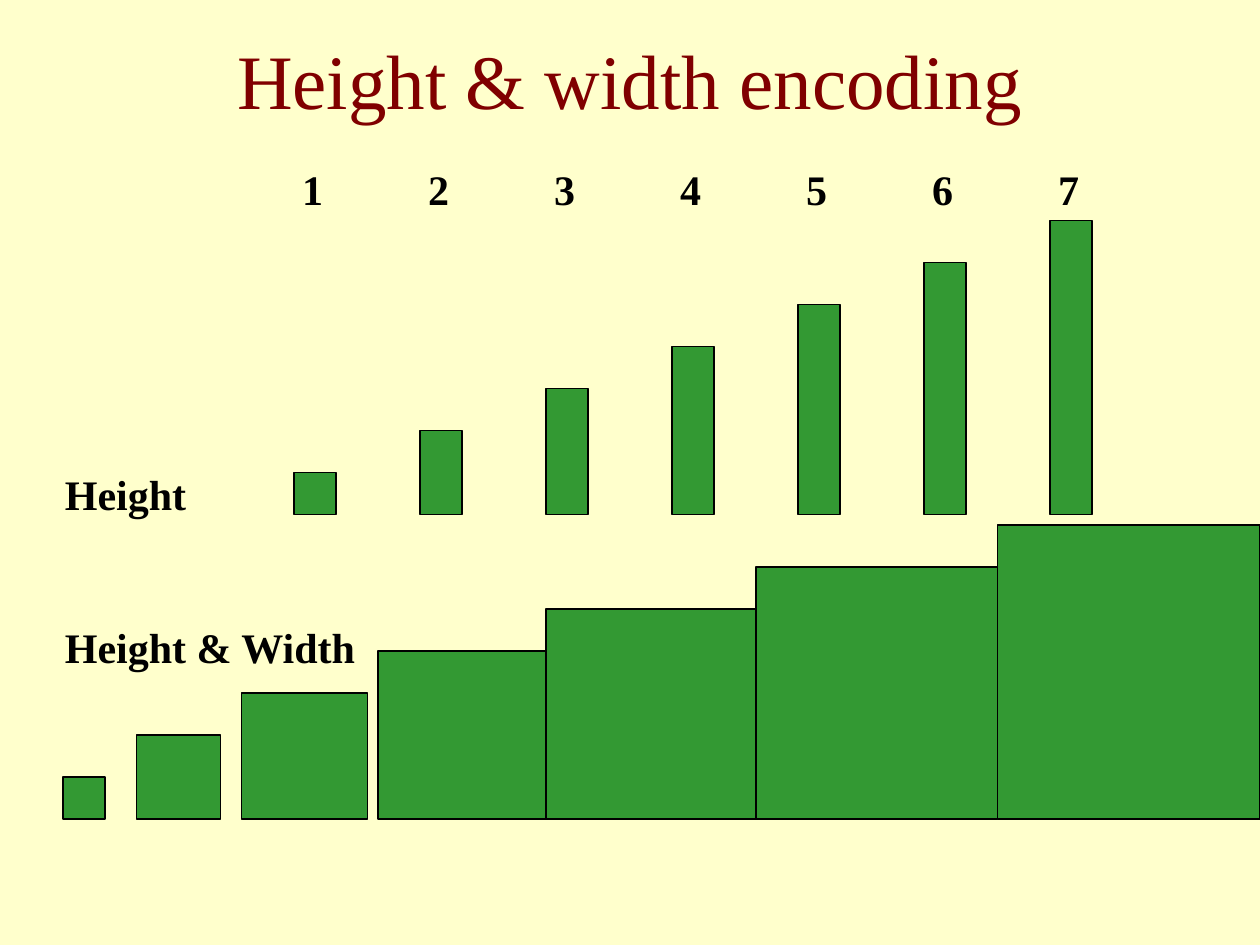
import pptx
import pptx.util
import pptx.dml.color
import pptx.enum.shapes
import pptx.enum.text
import lxml.etree
from pptx.oxml.ns import qn

Pt = pptx.util.Pt
ALIGN = pptx.enum.text.PP_ALIGN
ANCHOR = pptx.enum.text.MSO_ANCHOR

# Content
TITLE = "Height & width encoding"
VALUES = [1, 2, 3, 4, 5, 6, 7]
ROW_LABELS = ["Height", "Height & Width"]

COLORS = {"background": "FFFFCC", "title": "800000", "text": "000000",
          "bar": "339933", "outline": "000000"}
TITLE_FONT = {"name": "Times New Roman", "size": Pt(44), "bold": False}
LABEL_FONT = {"name": "Times New Roman", "size": Pt(24), "bold": True}

# Layout, in points
SLIDE_WIDTH, SLIDE_HEIGHT = 720, 540
UNIT = 24                     # length that stands for the value 1
COLUMN_LEFT, COLUMN_STEP = 168, 72
HEIGHT_BASE, AREA_BASE = 294, 468
AREA_LEFTS = [36, 78, 138, 216, 312, 432, 570]
ROW_LABEL_GAP = 58.7


def rgb(key):
    return pptx.dml.color.RGBColor.from_string(COLORS[key])


def add_text(slide, box, lines, font, color, frame_format, align=ALIGN.LEFT,
             gap=0, tab_stops=()):
    frame = slide.shapes.add_textbox(*map(Pt, box)).text_frame
    for name, value in frame_format.items():
        setattr(frame, name, value)
    for index, line in enumerate(lines):
        paragraph = frame.add_paragraph() if index else frame.paragraphs[0]
        paragraph.alignment = align
        if index:
            paragraph.space_before = Pt(gap)
        if tab_stops:
            tabs = lxml.etree.SubElement(paragraph._p.get_or_add_pPr(), qn("a:tabLst"))
            for stop in tab_stops:
                lxml.etree.SubElement(tabs, qn("a:tab"), pos=str(Pt(stop)), algn="l")
        run = paragraph.add_run()
        run.text = line
        for name, value in font.items():
            setattr(run.font, name, value)
        run.font.color.rgb = rgb(color)


def add_bar(slide, left, base, width, height):
    bar = slide.shapes.add_shape(pptx.enum.shapes.MSO_SHAPE.RECTANGLE,
                                 Pt(left), Pt(base - height), Pt(width), Pt(height))
    bar.shadow.inherit = False
    bar.fill.solid()
    bar.fill.fore_color.rgb = rgb("bar")
    bar.line.color.rgb = rgb("outline")
    bar.line.width = Pt(0.75)


def main():
    deck = pptx.Presentation()
    deck.slide_width, deck.slide_height = Pt(SLIDE_WIDTH), Pt(SLIDE_HEIGHT)
    slide = deck.slides.add_slide(deck.slide_layouts[6])
    slide.background.fill.solid()
    slide.background.fill.fore_color.rgb = rgb("background")

    # Title and column numbers
    add_text(slide, (0, 0, SLIDE_WIDTH, 90), [TITLE], TITLE_FONT, "title",
             {"word_wrap": True, "vertical_anchor": ANCHOR.MIDDLE}, ALIGN.CENTER)
    add_text(slide, (165.6, 90, 458.64, 36), ["\t".join(map(str, VALUES))],
             LABEL_FONT, "text", {"word_wrap": False},
             tab_stops=[COLUMN_STEP * step for step in range(1, len(VALUES))])

    # Bars that grow in height only
    for column, value in enumerate(VALUES):
        add_bar(slide, COLUMN_LEFT + column * COLUMN_STEP, HEIGHT_BASE, UNIT, value * UNIT)

    # Squares that grow both ways, cut where the next one starts
    for value, left, limit in zip(VALUES, AREA_LEFTS, AREA_LEFTS[1:] + [SLIDE_WIDTH]):
        side = value * UNIT
        add_bar(slide, left, AREA_BASE, min(side, limit - left), side)

    # Row labels
    add_text(slide, (30, 264, 181.44, 122.4), ROW_LABELS, LABEL_FONT, "text",
             {"word_wrap": True}, gap=ROW_LABEL_GAP)

    deck.save("out.pptx")


if __name__ == "__main__":
    main()
